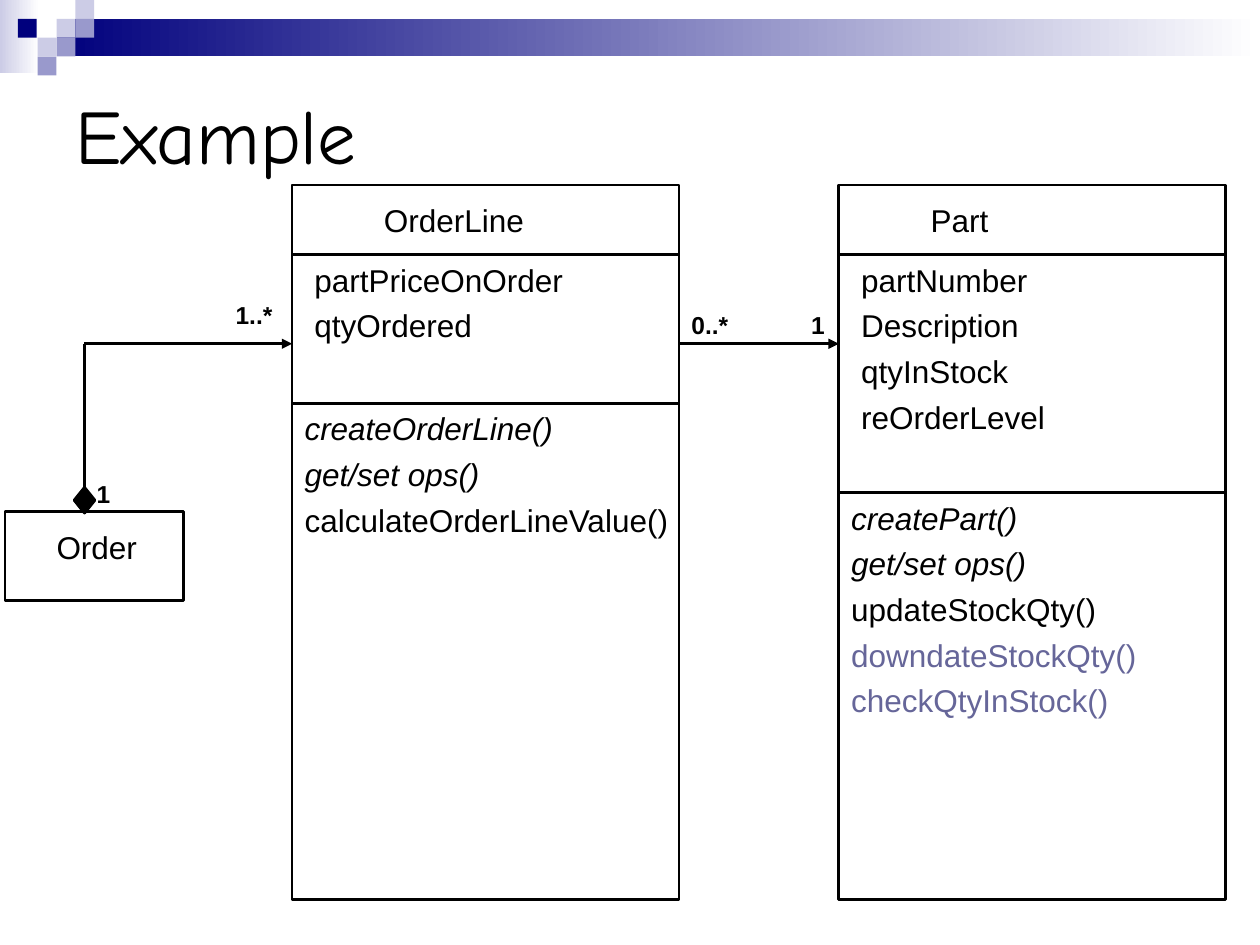
from dataclasses import dataclass

from lxml.etree import SubElement
from pptx import Presentation
from pptx.dml.color import RGBColor
from pptx.enum.shapes import MSO_CONNECTOR, MSO_SHAPE
from pptx.enum.text import MSO_ANCHOR, MSO_AUTO_SIZE
from pptx.oxml.ns import qn
from pptx.shapes.autoshape import Shape
from pptx.slide import Slide
from pptx.util import Cm, Pt

RECTANGLE = MSO_SHAPE.RECTANGLE
DIAMOND = MSO_SHAPE.DIAMOND
STRAIGHT = MSO_CONNECTOR.STRAIGHT
MIDDLE = MSO_ANCHOR.MIDDLE
GROW = MSO_AUTO_SIZE.SHAPE_TO_FIT_TEXT

BLACK, WHITE, NAVY = "000000", "FFFFFF", "00007D"
PALE, LILAC, SLATE = "CCCCE6", "9999CC", "666699"
TILE = 0.38
CLASS_TOP, CLASS_WIDTH, CLASS_HEIGHT = 3.73, 7.8, 14.4
NAME_RULE = 5.13
LINK_Y, ORDER_X, ORDER_TOP = 6.93, 1.7, 10.31


@dataclass(frozen=True)
class Row:
    """One line of text in a compartment."""
    text: str
    color: str = BLACK
    italic: bool = False


@dataclass(frozen=True)
class ClassBox:
    """A class with three compartments."""
    name: str
    left: float
    rule: float
    attributes: tuple[Row, ...]
    attributes_height: float
    operations: tuple[Row, ...]
    operations_height: float


@dataclass(frozen=True)
class Multiplicity:
    """A count beside one end of an association."""
    text: str
    left: float
    top: float
    width: float


TILES = ((3, 1, PALE), (4, 0, PALE), (4, 1, LILAC), (2, 2, PALE),
         (0.95, 1, NAVY), (3, 2, LILAC), (2, 3, LILAC))
ORDER_LINE = ClassBox(
    "OrderLine", 5.89, 8.13,
    (Row("partPriceOnOrder"), Row("qtyOrdered")), 1.96,
    (Row("createOrderLine()", italic=True), Row("get/set ops()", italic=True),
     Row("calculateOrderLineValue()")), 2.87)
PART = ClassBox(
    "Part", 16.91, 9.93,
    (Row("partNumber"), Row("Description"), Row("qtyInStock"),
     Row("reOrderLevel")), 3.78,
    (Row("createPart()", italic=True), Row("get/set ops()", italic=True),
     Row("updateStockQty()"), Row("downdateStockQty()", SLATE),
     Row("checkQtyInStock()", SLATE)), 6.55)
ORDER_LINE_RIGHT = ORDER_LINE.left + CLASS_WIDTH
MULTIPLICITIES = (
    Multiplicity("1", 16.1, 6.12, 0.81),
    Multiplicity("0..*", ORDER_LINE_RIGHT, 6.12, 1.4),
    Multiplicity("1..*", 4.5, 5.92, 1.4),
    Multiplicity("1", ORDER_X, 9.53, 0.81),
)


def rgb(color: str) -> RGBColor:
    """Turn a hex string into a colour."""
    return RGBColor.from_string(color)


def add_block(page: Slide, left: float, top: float, width: float, height: float,
              fill: str | None = None, line: float = 0, fade: bool = False,
              kind: MSO_SHAPE = RECTANGLE) -> Shape:
    """Draw a shape, optionally filled, outlined or fading to white."""
    shape = page.shapes.add_shape(kind, Cm(left), Cm(top), Cm(width), Cm(height))
    shape.shadow.inherit = False
    if fade:
        shape.fill.gradient()
        shape.fill.gradient_angle = 0
        for stop, color in zip(shape.fill.gradient_stops, (fill, WHITE)):
            stop.color.rgb = rgb(color)
    elif fill:
        shape.fill.solid()
        shape.fill.fore_color.rgb = rgb(fill)
    else:
        shape.fill.background()
    if line:
        shape.line.color.rgb = rgb(BLACK)
        shape.line.width = Pt(line)
    else:
        shape.line.fill.background()
    return shape


def add_line(page: Slide, start: tuple[float, float], end: tuple[float, float],
             arrow: bool = False) -> None:
    """Draw a straight line, with an arrowhead at its start if asked."""
    line = page.shapes.add_connector(
        STRAIGHT, Cm(start[0]), Cm(start[1]), Cm(end[0]), Cm(end[1]))
    line.line.color.rgb = rgb(BLACK)
    line.line.width = Pt(1.5)
    if arrow:
        SubElement(line.line._get_or_add_ln(), qn("a:headEnd"), type="triangle")
    SubElement(line._element.spPr, qn("a:effectLst"))


def add_text(page: Slide, left: float, top: float, width: float, height: float,
             rows: tuple[Row, ...], size: float = 18, before: float = 4.5,
             bold: bool = False, font: str = "Arial") -> Shape:
    """Write rows of text in a box and return the box."""
    box = page.shapes.add_textbox(Cm(left), Cm(top), Cm(width), Cm(height))
    frame = box.text_frame
    frame.text = "\n".join(row.text for row in rows)
    frame.word_wrap = True
    frame.auto_size = GROW
    for para, row in zip(frame.paragraphs, rows):
        para.space_before = Pt(before)
        for span in para.runs:
            span.font.name = font
            span.font.size = Pt(size)
            span.font.bold = bold
            span.font.italic = row.italic
            span.font.color.rgb = rgb(row.color)
    return box


def add_name(page: Slide, name: str, left: float, top: float) -> None:
    """Write the name of a class."""
    add_text(page, left, top, 3.6, 1.02, (Row(name),), before=11.2)


def add_class(page: Slide, item: ClassBox) -> None:
    """Draw a class with its name, attributes and operations."""
    add_block(page, item.left, CLASS_TOP, CLASS_WIDTH, CLASS_HEIGHT, line=1.5)
    for rule in (NAME_RULE, item.rule):
        add_line(page, (item.left, rule), (item.left + CLASS_WIDTH, rule))
    add_name(page, item.name, item.left + 1.6, 3.92)
    add_text(page, item.left, item.rule, 8, item.operations_height, item.operations)
    add_text(page, item.left + 0.2, NAME_RULE, 7.21, item.attributes_height,
             item.attributes)


def add_banner(page: Slide) -> None:
    """Draw the fading bars and the tiles at the top."""
    add_block(page, 0, 0, 0.79, 1.47, PALE, fade=True)
    add_block(page, 3 * TILE, TILE, 25.4 - 3 * TILE, 2 * TILE, NAVY, fade=True)
    for column, row, color in TILES:
        add_block(page, column * TILE, row * TILE, TILE, TILE, color)


def main() -> None:
    """Build the class diagram and save it."""
    deck = Presentation()
    deck.slide_width, deck.slide_height = Cm(25.4), Cm(19.05)
    page = deck.slides.add_slide(deck.slide_layouts[6])
    add_banner(page)
    title = add_text(page, 1.27, 1.27, 22.86, 2.84, (Row("Example"),),
                     size=44, before=0, font="Comic Neue")
    title.text_frame.auto_size = MSO_AUTO_SIZE.NONE
    title.text_frame.vertical_anchor = MIDDLE
    for item in (ORDER_LINE, PART):
        add_class(page, item)
    add_block(page, 0.1, ORDER_TOP, 3.6, 1.8, line=1.5)
    add_name(page, "Order", 0.89, 10.52)
    add_line(page, (PART.left, LINK_Y), (ORDER_LINE_RIGHT, LINK_Y), arrow=True)
    add_line(page, (ORDER_LINE.left, LINK_Y), (ORDER_X, LINK_Y), arrow=True)
    add_line(page, (ORDER_X, LINK_Y), (ORDER_X, ORDER_TOP))
    for count in MULTIPLICITIES:
        add_text(page, count.left, count.top, count.width, 0.86,
                 (Row(count.text),), size=14, before=8.8, bold=True)
    add_block(page, 1.5, 9.83, 0.41, 0.51, BLACK, line=1.75, kind=DIAMOND)
    deck.save("out.pptx")


if __name__ == "__main__":
    main()
